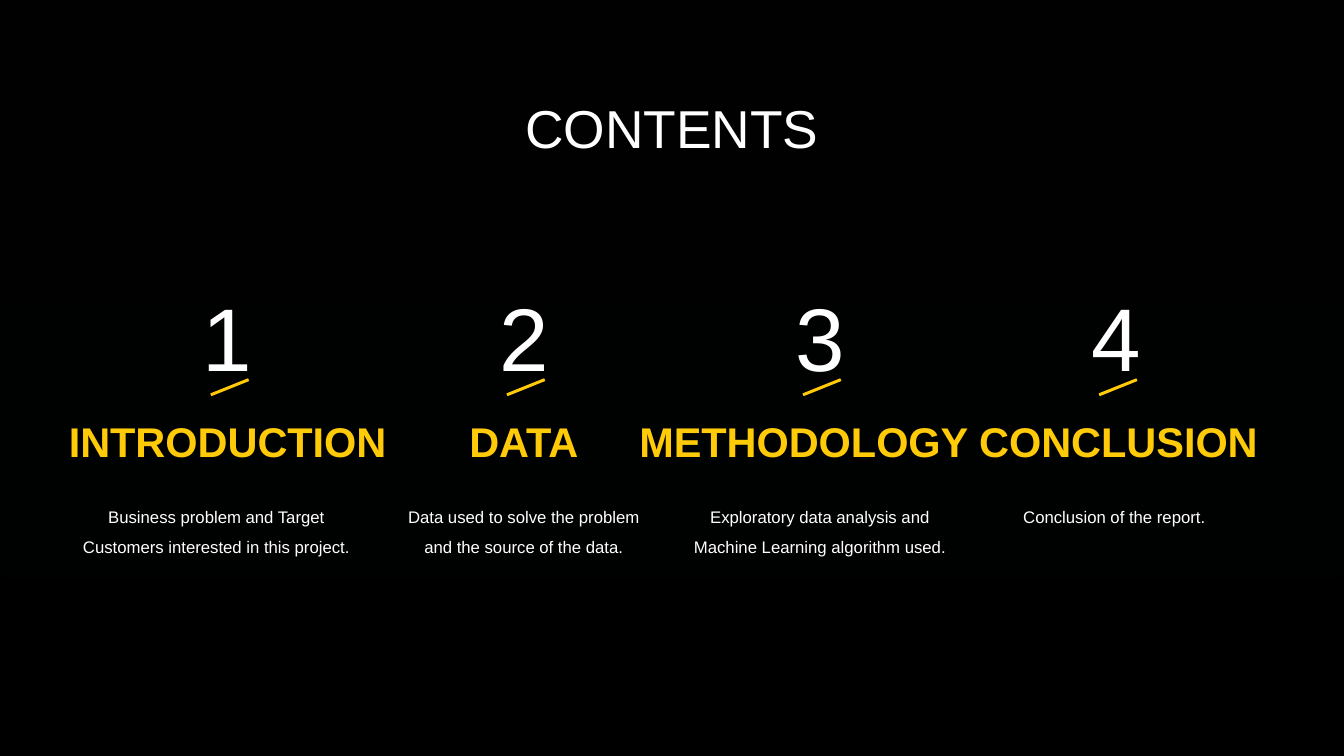
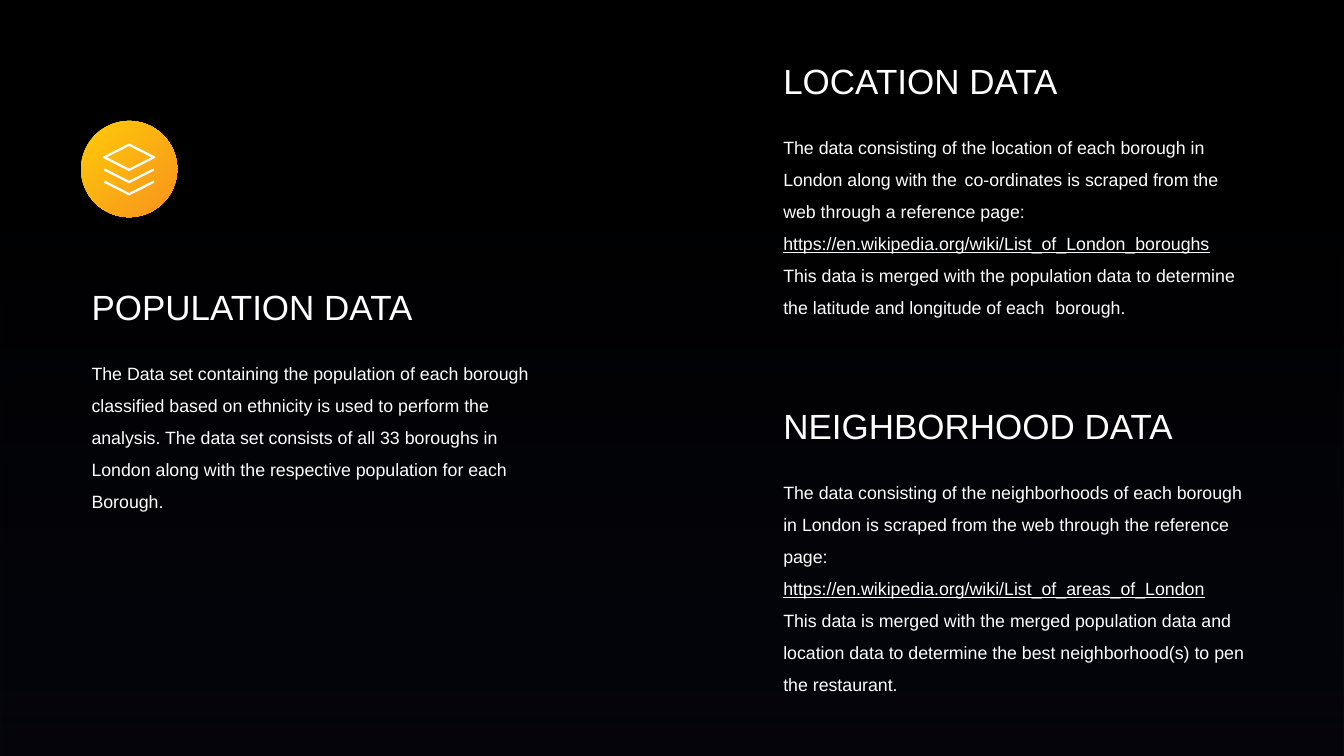
import pptx
import pptx.dml.color
import pptx.enum.shapes
import pptx.enum.text
import pptx.oxml
import pptx.oxml.ns
import pptx.util
from lxml import etree

Cm = pptx.util.Cm
Pt = pptx.util.Pt
RGBColor = pptx.dml.color.RGBColor
Shape = pptx.enum.shapes.MSO_SHAPE
Align = pptx.enum.text.PP_ALIGN
Anchor = pptx.enum.text.MSO_ANCHOR
qn = pptx.oxml.ns.qn

# Shared look
WIDTH, HEIGHT = 32, 18
FONT = "Arial"
WHITE = RGBColor(0xFF, 0xFF, 0xFF)
BLACK = RGBColor(0, 0, 0)
NEAR_BLACK = RGBColor(0x05, 0x06, 0x06)
NAVY = RGBColor(0x1D, 0x22, 0x4A)
YELLOW = RGBColor(0xFF, 0xCA, 0x08)
ORANGE = RGBColor(0xF8, 0x93, 0x1D)

# Contents columns: heading, heading shift, text, text shift, text width
COLUMNS = [
    ("INTRODUCTION", 0, "Business problem and Target Customers interested in this project.", -0.27, 7),
    ("DATA", 0, "Data used to solve the problem and the source of the data.", 0, 6.5),
    ("METHODOLOGY", -0.38, "Exploratory data analysis and Machine Learning algorithm used.", 0, 6.5),
    ("CONCLUSION", 0.06, "Conclusion of the report.", -0.04, 6.5),
]
FIRST_CENTRE, COLUMN_PITCH = 5.42, 7.05

# Data blocks: left, top, heading, paragraphs as (text, link, tab stop)
DATA_BLOCKS = [
    (1.93, 6.68, "POPULATION DATA", [
        ("The Data set containing the population of each borough classified based on "
         "ethnicity is used to perform the analysis. The data set consists of all 33 "
         "boroughs in London along with the respective population for each Borough.", "", None),
    ]),
    (18.4, 1.3, "LOCATION DATA", [
        ("The data consisting of the location of each borough in London along with the "
         "\tco-ordinates is scraped from the web through a reference page: ",
         "https://en.wikipedia.org/wiki/List_of_London_boroughs", 4.32),
        ("This data is merged with the population data to determine the latitude and "
         "longitude of each \tborough.", "", 6.48),
    ]),
    (18.4, 9.5, "NEIGHBORHOOD DATA", [
        ("The data consisting of the neighborhoods of each borough in London is scraped "
         "from the web through the reference page: ",
         "https://en.wikipedia.org/wiki/List_of_areas_of_London", None),
        ("This data is merged with the merged population data and location data to "
         "determine the best neighborhood(s) to pen the restaurant.", "", None),
    ]),
]


def set_gradient(fill, stops, angle=270):
    fill.gradient()
    fill.gradient_angle = angle
    for stop, (position, color) in zip(fill.gradient_stops, stops):
        stop.position = position
        stop.color.rgb = color


def add_page(deck):
    """Add a blank page with the translucent dark layer."""
    page = deck.slides.add_slide(deck.slide_layouts[6])
    layer = page.shapes.add_shape(Shape.RECTANGLE, 0, 0, Cm(WIDTH), Cm(HEIGHT))
    layer.shadow.inherit = False
    layer.line.fill.background()
    set_gradient(layer.fill, [(0.2, BLACK), (1, BLACK)])
    colors = layer.element.spPr.iter(qn("a:srgbClr"))
    for color, alpha in zip(colors, ("78000", "85000")):
        etree.SubElement(color, qn("a:alpha")).set("val", alpha)
    return page


def add_box(page, left, top, width, height, wrap=True, anchor=Anchor.TOP):
    box = page.shapes.add_textbox(Cm(left), Cm(top), Cm(width), Cm(height))
    box.text_frame.word_wrap = wrap
    box.text_frame.vertical_anchor = anchor
    return box


def style_paragraph(para, size, color=WHITE, bold=False, align=Align.LEFT, spacing=None, tab=None):
    para.alignment = align
    para.line_spacing = spacing
    if tab:
        tabs = etree.SubElement(para._p.get_or_add_pPr(), qn("a:tabLst"))
        etree.SubElement(tabs, qn("a:tab"), pos=str(Cm(tab)), algn="l")
    para.font.name = FONT
    para.font.size = Pt(size)
    para.font.bold = bold
    para.font.color.rgb = color


def add_label(page, text, left, top, width, height, size, wrap=False, anchor=Anchor.TOP, **style):
    """Add a box that holds one paragraph."""
    box = add_box(page, left, top, width, height, wrap, anchor)
    para = box.text_frame.paragraphs[0]
    para.text = text
    style_paragraph(para, size, **style)


def add_centred(page, text, centre, top, width, height, size, **style):
    add_label(page, text, centre - width / 2, top, width, height, size, align=Align.CENTER, **style)


def add_slash(page, centre):
    slash = page.shapes.add_connector(
        pptx.enum.shapes.MSO_CONNECTOR.STRAIGHT,
        Cm(centre + 0.5), Cm(9.04), Cm(centre - 0.4), Cm(9.4))
    slash.line.color.rgb = YELLOW
    slash.line.width = Pt(2)
    etree.SubElement(slash.element.spPr, qn("a:effectLst"))


def add_column(page, index, heading, heading_shift, text, text_shift, text_width):
    centre = FIRST_CENTRE + index * COLUMN_PITCH
    add_centred(page, str(index + 1), centre, 6.58, 1.7, 2.82, 60, anchor=Anchor.MIDDLE)
    add_centred(page, heading, centre + heading_shift, 9.78, 9, 1.45, 28, color=YELLOW, bold=True)
    add_slash(page, centre)
    add_centred(page, text, centre + text_shift, 11.7, text_width, 1.73, 11.3, wrap=True, spacing=1.5)


def add_data_block(page, left, top, heading, paragraphs):
    add_label(page, heading, left, top, 10.5, 1.27, 23.6)
    frame = add_box(page, left, top + 1.58, 11.55, 4.1).text_frame
    for index, (text, link, tab) in enumerate(paragraphs):
        para = frame.add_paragraph() if index else frame.paragraphs[0]
        para.add_run().text = text
        if link:
            span = para.add_run()
            span.text = link
            span.font.underline = True
        style_paragraph(para, 12, spacing=1.5, tab=tab)


def add_outline(page, points, close):
    points = [(Cm(x), Cm(y)) for x, y in points]
    builder = page.shapes.build_freeform(*points[0], scale=1.0)
    builder.add_line_segments(points[1:], close=close)
    outline = builder.convert_to_shape()
    outline.shadow.inherit = False
    outline.fill.background()
    outline.line.color.rgb = WHITE
    outline.line.width = Pt(1.5)


def add_layers_icon(page, left, top, size):
    disc = page.shapes.add_shape(Shape.OVAL, Cm(left), Cm(top), Cm(size), Cm(size))
    disc.shadow.inherit = False
    disc.line.fill.background()
    set_gradient(disc.fill, [(0, ORANGE), (1, YELLOW)])
    # Radial gradient spreading from the lower right corner
    gradient = disc.element.spPr.find(qn("a:gradFill"))
    radial = etree.Element(qn("a:path"), path="circle")
    etree.SubElement(radial, qn("a:fillToRect"), l="100000", t="100000")
    gradient.replace(gradient.find(qn("a:lin")), radial)

    # One full sheet and the lower edges of two more
    x, y = left + size / 2, top + size / 2 - 0.28
    half, rise, gap = 0.59, 0.3, 0.29
    add_outline(page, [(x, y - rise), (x - half, y), (x, y + rise), (x + half, y)], True)
    for level in (1, 2):
        edge = y + level * gap
        add_outline(page, [(x - half, edge), (x, edge + rise), (x + half, edge)], False)


def build_contents(deck):
    page = add_page(deck)
    page.background.fill.solid()
    page.background.fill.fore_color.rgb = NEAR_BLACK
    add_centred(page, "CONTENTS", WIDTH / 2, 2.13, 7.5, 1.8, 36)
    for index, column in enumerate(COLUMNS):
        add_column(page, index, *column)


def build_data(deck):
    page = add_page(deck)
    set_gradient(page.background.fill, [(0.2, BLACK), (1, NAVY)])
    add_layers_icon(page, 1.93, 2.88, 2.29)
    for block in DATA_BLOCKS:
        add_data_block(page, *block)


def main():
    deck = pptx.Presentation()
    deck.slide_width, deck.slide_height = Cm(WIDTH), Cm(HEIGHT)
    build_contents(deck)
    build_data(deck)
    deck.save("out.pptx")


if __name__ == "__main__":
    main()
